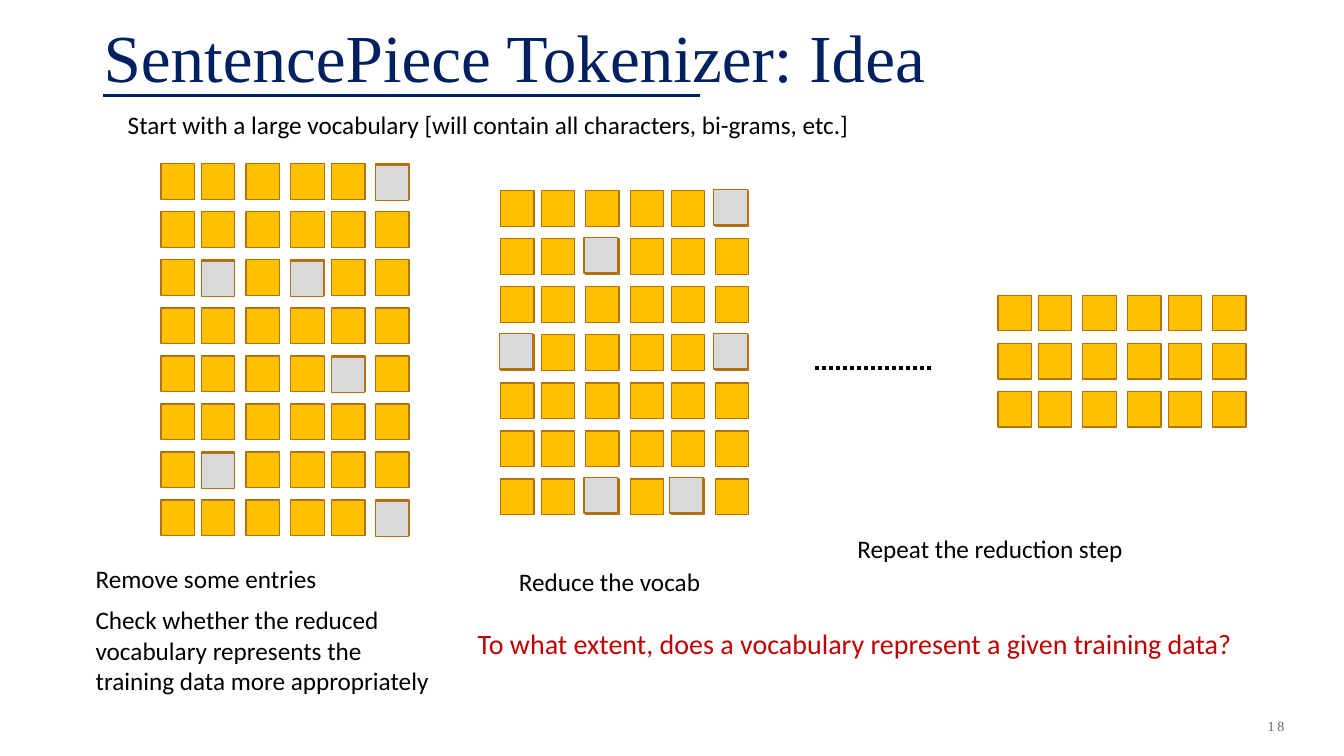
from pptx import Presentation
from pptx import util as u
from pptx.dml.color import RGBColor
from pptx.enum import dml, shapes, text
from pptx.oxml import parse_xml
from pptx.oxml.ns import nsdecls

COLORS = {
    "navy": "002060",
    "black": "000000",
    "number": "666666",
    "question": "C00000",
    "kept": "FFC000",
    "removed": "D9D9D9",
    "edge": "B37111",
}
COLUMN_OFFSETS = (0, 1.02, 2.14, 3.27, 4.3, 5.41)
ROW_PITCH = 1.21
TOKEN_SIZE = (0.84, 0.89)


def rgb(name):
    return RGBColor.from_string(COLORS[name])


def write(frame, content, size=18, font="Calibri", color="black", align="LEFT", spacing=None):
    for index, line in enumerate(content.split("\n")):
        paragraph = frame.paragraphs[0] if index == 0 else frame.add_paragraph()
        paragraph.alignment = getattr(text.PP_ALIGN, align)
        run = paragraph.add_run()
        run.text = line
        run.font.size = u.Pt(size)
        run.font.name = font
        run.font.color.rgb = rgb(color)
        if spacing:
            run.font._element.set("spc", str(spacing))


class VocabularySlide:
    serif = "Times New Roman"

    def __init__(self, slide):
        self.shapes = slide.shapes

    def label(self, content, left, top, width, height, anchor="TOP", **style):
        box = self.shapes.add_textbox(*map(u.Cm, (left, top, width, height)))
        box.text_frame.word_wrap = True
        box.text_frame.vertical_anchor = getattr(text.MSO_ANCHOR, anchor)
        write(box.text_frame, content, **style)

    def rule(self, left, right, y, color, dash=None):
        line = self.shapes.add_connector(
            shapes.MSO_CONNECTOR.STRAIGHT, *map(u.Cm, (left, y, right, y)))
        line.line.color.rgb = rgb(color)
        line.line.width = u.Pt(2.5)
        if dash:
            line.line.dash_style = dash
        line._element.spPr.append(parse_xml(f"<a:effectLst {nsdecls('a')}/>"))

    def token(self, left, top, state):
        square = self.shapes.add_shape(
            shapes.MSO_SHAPE.RECTANGLE, *map(u.Cm, (left, top, *TOKEN_SIZE)))
        square.shadow.inherit = False
        square.fill.solid()
        square.fill.fore_color.rgb = rgb(state)
        square.line.color.rgb = rgb("edge")
        square.line.width = u.Pt(0.85)

    def vocabulary(self, left, top, rows, removed=(), shift=(0, 0)):
        for row in range(rows):
            for offset in COLUMN_OFFSETS:
                self.token(left + offset, top + row * ROW_PITCH, "kept")
        for row, column in removed:
            self.token(left + COLUMN_OFFSETS[column] + shift[0],
                       top + row * ROW_PITCH + shift[1], "removed")


def main():
    deck = Presentation()
    deck.slide_width, deck.slide_height = u.Cm(33.87), u.Cm(19.05)
    page = VocabularySlide(deck.slides.add_slide(deck.slide_layouts[6]))

    page.rule(2.59, 17.65, 2.41, "navy")
    page.label("SentencePiece Tokenizer: Idea", 2.36, -0.56, 29.29, 3.1,
               anchor="BOTTOM", size=48, font=page.serif, color="navy")
    page.label("18", 27.74, 17.65, 4.88, 1.27, anchor="MIDDLE", size=10,
               font=page.serif, color="number", align="RIGHT", spacing=200)

    page.vocabulary(4.06, 4.13, 8, shift=(-0.01, 0.03),
                    removed=[(0, 5), (2, 1), (2, 3), (4, 4), (6, 1), (7, 5)])
    page.vocabulary(12.62, 4.81, 7, shift=(-0.04, -0.03),
                    removed=[(0, 5), (1, 2), (3, 0), (3, 5), (6, 2), (6, 4)])
    page.vocabulary(25.15, 7.45, 3)
    page.rule(20.55, 23.47, 9.27, "black", dash=dml.MSO_LINE.ROUND_DOT)

    page.label("Start with a large vocabulary [will contain all characters, bi-grams, etc.]",
               2.97, 2.62, 20.83, 1.02)
    page.label("Remove some entries", 2.16, 14.07, 6.81, 1.02)
    page.label("Check whether the reduced\nvocabulary represents the\n"
               "training data more appropriately", 2.16, 15.11, 10.11, 2.57)
    page.label("Reduce the vocab", 12.83, 14.15, 5.77, 1.02)
    page.label("Repeat the reduction step", 21.36, 13.31, 8.08, 1.02)
    page.label("To what extent, does a vocabulary represent a given training data?",
               11.79, 15.65, 21.89, 1.12, size=20, color="question")

    deck.save("out.pptx")


if __name__ == "__main__":
    main()
